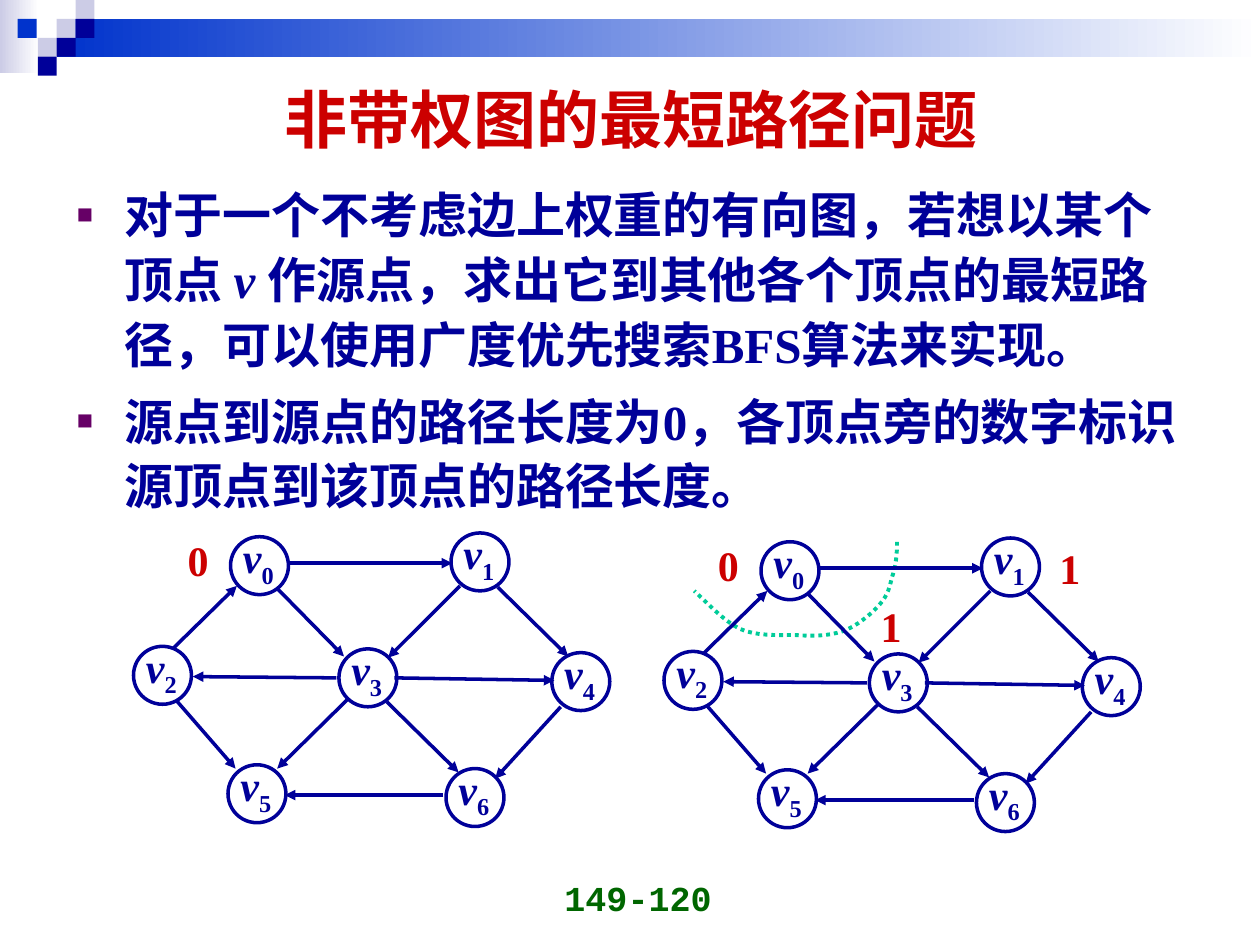
from dataclasses import dataclass

from lxml import etree
from pptx import Presentation
from pptx import util as u
from pptx.dml.color import RGBColor
from pptx.enum import dml, shapes, text
from pptx.oxml.ns import qn

PX = 9144  # EMU per px, 100 px to the inch


@dataclass(frozen=True)
class Theme:
    navy: str = "000099"
    blue: str = "0033CC"
    pale: str = "CCCCE6"
    white: str = "FFFFFF"
    red: str = "CC0000"
    green: str = "006600"
    teal: str = "00CC99"
    plum: str = "660066"
    serif: str = "Times New Roman"
    sans: str = "Arial"
    mono: str = "Courier New"
    title_size: int = 36
    body_size: int = 28
    graph_size: int = 24
    footer_size: int = 20


THEME = Theme()

TITLE = "非带权图的最短路径问题"
BULLETS = [
    [("对于一个不考虑边上权重的有向图，若想以某个顶点 ", False), ("v ", True),
     ("作源点，求出它到其他各个顶点的最短路径，可以使用广度优先搜索BFS算法来实现。", False)],
    [("源点到源点的路径长度为0，各顶点旁的数字标识源顶点到该顶点的路径长度。", False)],
]
FOOTER = "149-120"

# left, top, width, height, colours (two make a gradient)
BANDS = [
    (0, 0, 31, 58, (THEME.pale, THEME.white)),
    (45, 15, 955, 30, (THEME.blue, THEME.white)),
]
TILE = 15
TILES = [
    (45, 15, THEME.pale), (60, 0, THEME.pale), (60, 15, THEME.navy),
    (30, 30, THEME.pale), (14, 15, THEME.blue), (45, 30, THEME.navy),
    (30, 45, THEME.navy),
]

# The first graph; the second is the same one shifted
NODE = 46
NODES = [(183, 426), (358, 423), (106, 513), (269, 515), (438, 518), (181, 607), (354, 610)]
EDGES_BEHIND = [
    (219, 466, 273, 521), (352, 631, 226, 631), (201, 447, 359, 447),
    (136, 516, 188, 465), (365, 465, 308, 522), (267, 538, 153, 537),
    (445, 561, 393, 618), (140, 556, 187, 610),
]
EDGES_FRONT = [
    (277, 554, 220, 610), (307, 557, 364, 613), (313, 538, 440, 540), (395, 466, 451, 521),
]
SOURCE_DISTANCE = ("0", 139, 419)
NEXT_DISTANCES = [("1", 689, 472), ("1", 831, 426)]
SHIFTS = [(0, 0), (421, 4)]

FRONTIER_START = (712, 430)
FRONTIER_CURVES = [
    ((712, 440), (711, 450), (708, 458)), ((706, 466), (705, 472), (698, 480)),
    ((692, 487), (680, 497), (669, 501)), ((657, 505), (644, 505), (631, 504)),
    ((617, 504), (600, 505), (587, 499)), ((574, 493), (557, 474), (551, 469)),
]


def emu(*lengths):
    return [u.Emu(round(length * PX)) for length in lengths]


def rgb(colour):
    return RGBColor.from_string(colour)


def style(font, face, size, colour):
    font.name, font.size, font.bold = face, u.Pt(size), True
    font.color.rgb = rgb(colour)


def add_shape(slide, kind, left, top, width, height, colours, outline=None):
    shape = slide.shapes.add_shape(kind, *emu(left, top, width, height))
    shape.shadow.inherit = False
    if len(colours) == 1:
        shape.fill.solid()
        shape.fill.fore_color.rgb = rgb(colours[0])
    else:
        shape.fill.gradient()
        shape.fill.gradient_angle = 0
        for stop, colour in zip(shape.fill.gradient_stops, colours):
            stop.color.rgb = rgb(colour)
    if outline:
        shape.line.color.rgb = rgb(outline)
        shape.line.width = u.Pt(2)
    else:
        shape.line.fill.background()


def add_text(slide, left, top, width, height, face, size, colour):
    """Add an empty styled text box and return its paragraph."""
    box = slide.shapes.add_textbox(*emu(left, top, width, height))
    box.text_frame.word_wrap = True
    para = box.text_frame.paragraphs[0]
    style(para.font, face, size, colour)
    return para


def add_arrow(slide, *ends):
    arrow = slide.shapes.add_connector(shapes.MSO_CONNECTOR.STRAIGHT, *emu(*ends))
    arrow.line.color.rgb = rgb(THEME.navy)
    arrow.line.width = u.Pt(2)
    etree.SubElement(arrow.line._get_or_add_ln(), qn("a:tailEnd"), type="triangle")
    etree.SubElement(arrow._element.spPr, qn("a:effectLst"))


def add_distance(slide, value, left, top):
    para = add_text(slide, left, top, 60, 54, THEME.serif, THEME.graph_size, THEME.red)
    para.add_run().text = value


def add_node_label(slide, index, left, top):
    para = add_text(slide, left, top - 9, 80, 60, THEME.serif, THEME.graph_size, THEME.navy)
    letter, subscript = para.add_run(), para.add_run()
    letter.text, letter.font.italic = "v", True
    subscript.text = str(index)
    subscript._r.get_or_add_rPr().set("baseline", "-25000")


def add_graph(slide, dx, dy):
    value, left, top = SOURCE_DISTANCE
    add_distance(slide, value, left + dx, top + dy)
    nodes = [(x + dx, y + dy) for x, y in NODES]

    def add_edges(edges):
        for x1, y1, x2, y2 in edges:
            add_arrow(slide, x1 + dx, y1 + dy, x2 + dx, y2 + dy)

    add_edges(EDGES_BEHIND)
    for left, top in nodes:
        add_shape(slide, shapes.MSO_SHAPE.OVAL, left, top, NODE, NODE, [THEME.white], THEME.navy)
    add_edges(EDGES_FRONT)
    for index, (left, top) in enumerate(nodes):
        add_node_label(slide, index, left, top)


def add_frontier(slide, steps=8):
    """Draw the dotted curve through points on its cubic segments."""
    points, start = [], FRONTIER_START
    for first, second, end in FRONTIER_CURVES:
        for t in (step / steps for step in range(1, steps + 1)):
            weights = ((1 - t) ** 3, 3 * t * (1 - t) ** 2, 3 * t * t * (1 - t), t ** 3)
            controls = (start, first, second, end)
            points.append(emu(*(sum(w * c[axis] for w, c in zip(weights, controls))
                                for axis in (0, 1))))
        start = end
    builder = slide.shapes.build_freeform(*emu(*FRONTIER_START))
    builder.add_line_segments(points, close=False)
    curve = builder.convert_to_shape()
    curve.shadow.inherit = False
    curve.fill.background()
    curve.line.color.rgb = rgb(THEME.teal)
    curve.line.width = u.Pt(2.25)
    curve.line.dash_style = dml.MSO_LINE.ROUND_DOT


def place(shape, *area):
    shape.left, shape.top, shape.width, shape.height = emu(*area)


def fill_title(title):
    place(title, 51, 36, 900, 116)
    title.text_frame.text = TITLE
    title.text_frame.vertical_anchor = text.MSO_ANCHOR.MIDDLE
    para = title.text_frame.paragraphs[0]
    para.alignment = text.PP_ALIGN.CENTER
    style(para.font, THEME.sans, THEME.title_size, THEME.red)


def fill_body(body):
    place(body, 51, 137, 900, 520)
    frame = body.text_frame
    frame.auto_size = text.MSO_AUTO_SIZE.NONE
    for number, spans in enumerate(BULLETS):
        para = frame.add_paragraph() if number else frame.paragraphs[0]
        para.line_spacing = 1.1
        para.space_before = u.Pt(7 if number else 0)
        props = para._p.get_or_add_pPr()
        props.set("marL", str(38 * PX))
        props.set("indent", str(-38 * PX))
        colour = etree.SubElement(props, qn("a:buClr"))
        etree.SubElement(colour, qn("a:srgbClr"), val=THEME.plum)
        etree.SubElement(props, qn("a:buSzPct"), val="55000")
        etree.SubElement(props, qn("a:buChar"), char="■")
        style(para.font, THEME.serif, THEME.body_size, THEME.navy)
        for words, italic in spans:
            span = para.add_run()
            span.text, span.font.italic = words, italic


def main():
    deck = Presentation()
    deck.slide_width, deck.slide_height = emu(1000, 750)
    slide = deck.slides.add_slide(deck.slide_layouts[1])
    fill_title(slide.shapes.title)
    fill_body(slide.placeholders[1])
    for *area, colours in BANDS:
        add_shape(slide, shapes.MSO_SHAPE.RECTANGLE, *area, colours)
    for left, top, colour in TILES:
        add_shape(slide, shapes.MSO_SHAPE.RECTANGLE, left, top, TILE, TILE, [colour])
    footer = add_text(slide, 390, 691, 233, 50, THEME.mono, THEME.footer_size, THEME.green)
    footer.alignment = text.PP_ALIGN.CENTER
    footer.add_run().text = FOOTER
    add_frontier(slide)
    for distance in NEXT_DISTANCES:
        add_distance(slide, *distance)
    for shift in SHIFTS:
        add_graph(slide, *shift)
    deck.save("out.pptx")


if __name__ == "__main__":
    main()
